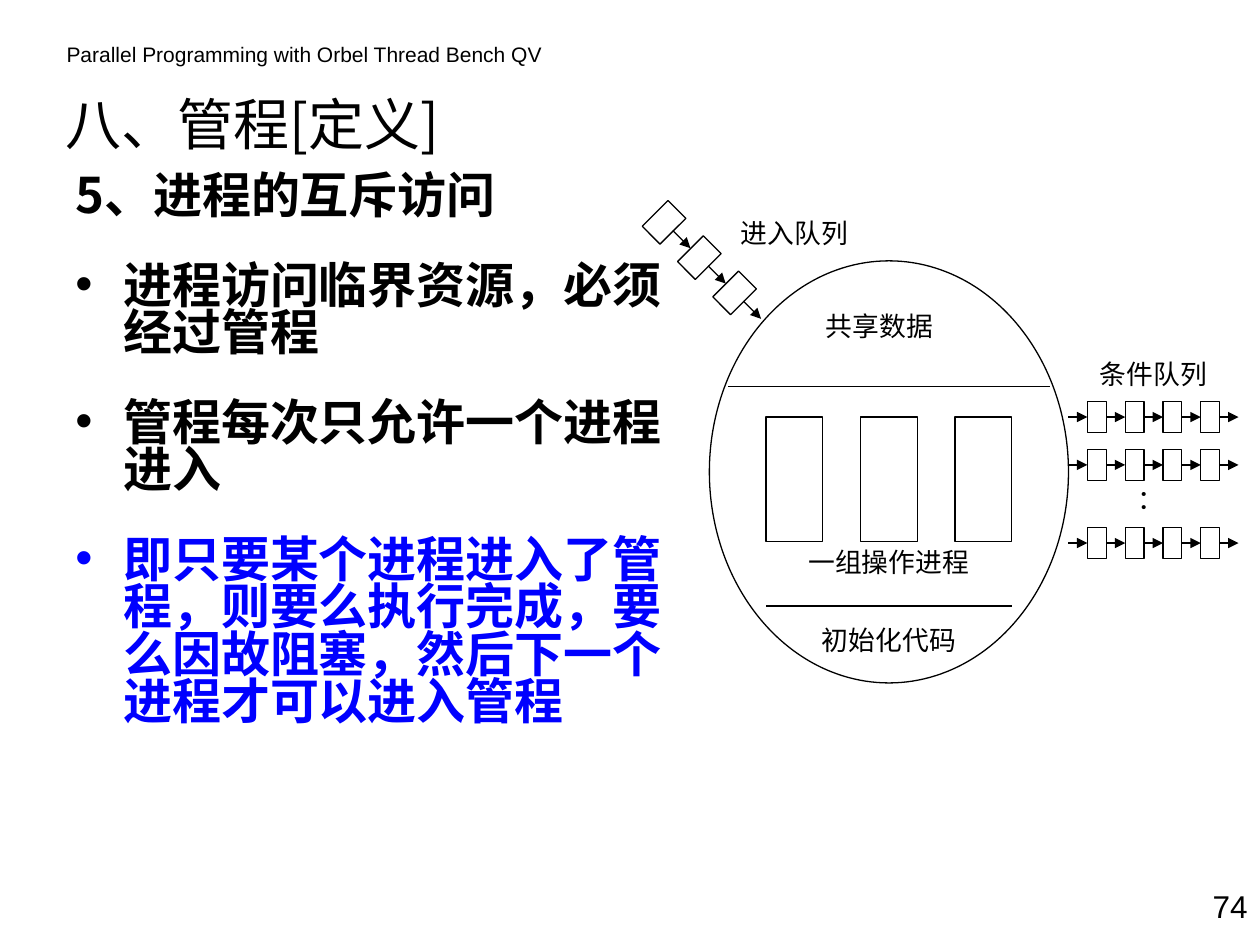
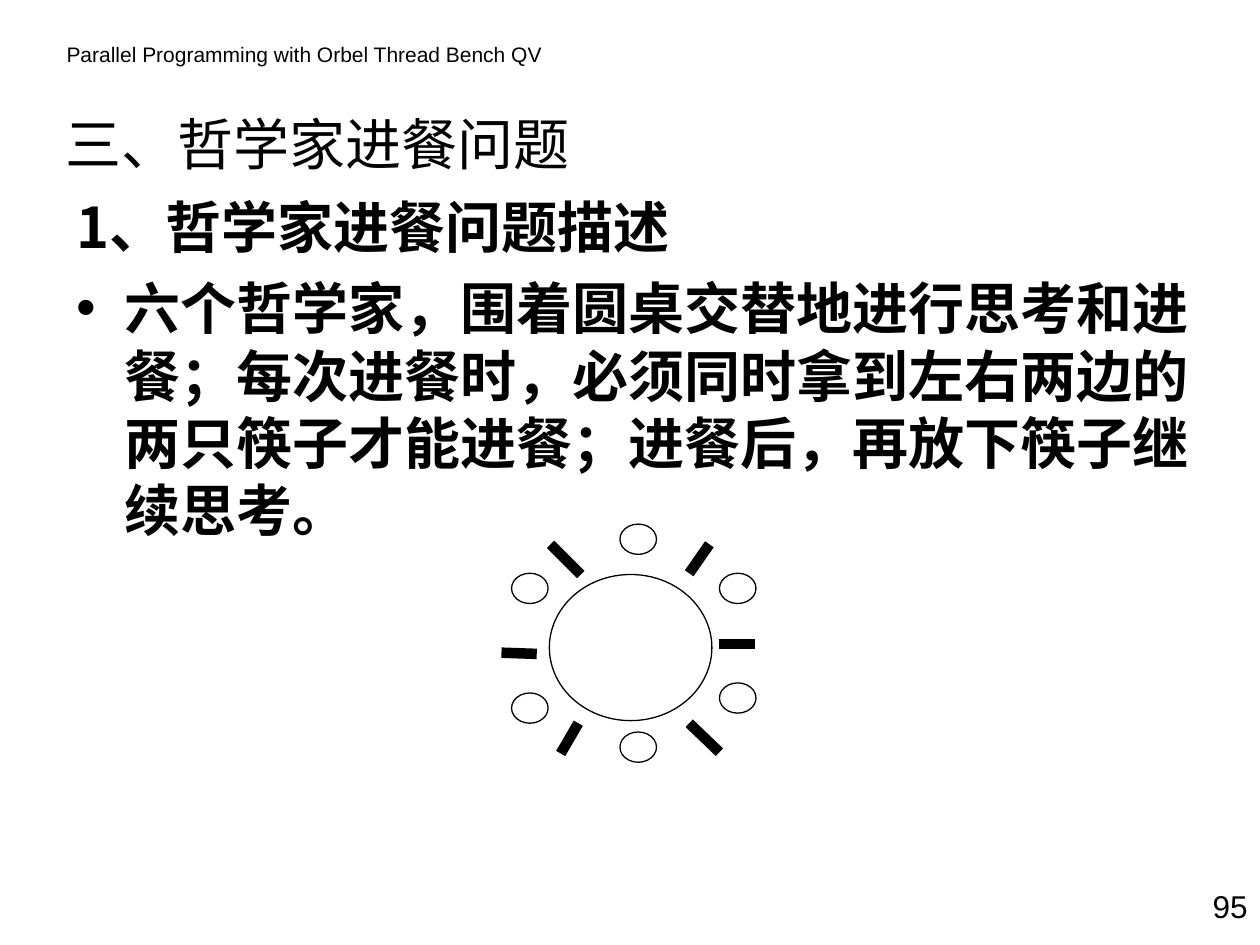
from pptx import Presentation
from pptx.dml.color import RGBColor
from pptx.enum.shapes import MSO_CONNECTOR, MSO_SHAPE
from pptx.enum.text import MSO_ANCHOR, PP_ALIGN
from pptx.oxml.ns import qn
from pptx.util import Inches, Pt
from lxml import etree

LEFT, CENTER, RIGHT, JUSTIFY = PP_ALIGN.LEFT, PP_ALIGN.CENTER, PP_ALIGN.RIGHT, PP_ALIGN.JUSTIFY
TOP, MIDDLE = MSO_ANCHOR.TOP, MSO_ANCHOR.MIDDLE
RECTANGLE, OVAL = MSO_SHAPE.RECTANGLE, MSO_SHAPE.OVAL
STRAIGHT = MSO_CONNECTOR.STRAIGHT
LEFT_SIDE, RIGHT_SIDE = 1, 3

COLORS = {"ink": "000000", "paper": "FFFFFF", "accent": "0000FF"}
HEADING_FONT = "Noto Sans CJK SC"
LABEL_FONT = "Times New Roman"
FOOTER_FONT = "Arial"
COURSE = "Parallel Programming with Orbel Thread Bench QV"
THIN, THICK = 0.75, 6


def color(name):
    return RGBColor.from_string(COLORS[name])


def style_paragraph(para, size, font, ink="ink", bold=False):
    for span in para.runs:
        span.font.size = Pt(size)
        span.font.name = font
        span.font.bold = bold
        span.font.color.rgb = color(ink)
        east_asian = etree.SubElement(span.font._element, qn("a:ea"))
        east_asian.set("typeface", HEADING_FONT)


def add_frame(page, bounds, anchor=TOP):
    box = page.shapes.add_textbox(*map(Inches, bounds))
    frame = box.text_frame
    frame.word_wrap = True
    frame.vertical_anchor = anchor
    return frame


def add_text(page, bounds, text, size, font, align=LEFT, anchor=TOP, spacing=None):
    frame = add_frame(page, bounds, anchor)
    frame.text = text
    para = frame.paragraphs[0]
    para.alignment = align
    para.line_spacing = spacing
    style_paragraph(para, size, font)


def add_label(page, bounds, text, align=CENTER):
    add_text(page, bounds, text, 15.3, LABEL_FONT, align, spacing=0.9)


def add_bullet(para, ink):
    properties = para._p.get_or_add_pPr()
    bullet_color = etree.SubElement(properties, qn("a:buClr"))
    etree.SubElement(bullet_color, qn("a:srgbClr")).set("val", COLORS[ink])
    etree.SubElement(properties, qn("a:buFont")).set("typeface", FOOTER_FONT)
    etree.SubElement(properties, qn("a:buChar")).set("char", "•")


def add_body(page, bounds, heading, points, size, before, spacing=None):
    frame = add_frame(page, bounds)
    for index, (text, ink) in enumerate([(heading, "ink")] + points):
        para = frame.add_paragraph() if index else frame.paragraphs[0]
        para.text = text
        para.space_before = Pt(before)
        para.line_spacing = spacing
        properties = para._p.get_or_add_pPr()
        properties.set("marL", str(Inches(0.38)))
        properties.set("indent", str(Inches(-0.38)))
        if index:
            add_bullet(para, ink)
        style_paragraph(para, size, HEADING_FONT, ink, bold=True)


def add_outline(page, kind, bounds, rotation=0):
    shape = page.shapes.add_shape(kind, *map(Inches, bounds))
    shape.shadow.inherit = False
    shape.fill.solid()
    shape.fill.fore_color.rgb = color("paper")
    shape.line.color.rgb = color("ink")
    shape.line.width = Pt(THIN)
    shape.rotation = rotation
    return shape


def add_line(page, start, end, width=THIN):
    line = page.shapes.add_connector(STRAIGHT, *map(Inches, start + end))
    line.line.color.rgb = color("ink")
    line.line.width = Pt(width)
    etree.SubElement(line._element.spPr, qn("a:effectLst"))
    return line


def add_arrow(page, start, end, source=None, target=None):
    arrow = add_line(page, start, end)
    etree.SubElement(arrow.line._get_or_add_ln(), qn("a:tailEnd")).set("type", "triangle")
    if source is not None:
        arrow.begin_connect(source, RIGHT_SIDE)
    if target is not None:
        arrow.end_connect(target, LEFT_SIDE)
    arrow.begin_x, arrow.begin_y = map(Inches, start)
    arrow.end_x, arrow.end_y = map(Inches, end)


def add_page(deck, title, title_bounds, number):
    page = deck.slides.add_slide(deck.slide_layouts[6])
    page.background.fill.solid()
    page.background.fill.fore_color.rgb = color("paper")
    add_text(page, (0.43, 0.28, 4.6, 0.3), COURSE, 12, FOOTER_FONT)
    add_text(page, title_bounds, title, 32, HEADING_FONT, anchor=MIDDLE)
    add_text(page, (8.86, 6.99, 1.14, 0.4), number, 18, FOOTER_FONT, RIGHT)
    return page


def add_entry_queue(page):
    step = 0.28
    boxes = [add_outline(page, RECTANGLE, (5.17 + i * step, 1.62 + i * step, 0.2, 0.29), 45)
             for i in range(3)]
    for i, (box, following) in enumerate(zip(boxes, boxes[1:] + [None])):
        x, y = 5.34 + i * step, 1.83 + i * step
        add_arrow(page, (x, y), (x + 0.14, y + 0.14), box, following)
    add_label(page, (5.33, 1.7, 1.5, 0.37), "进入队列", RIGHT)


def add_condition_queue(page, middle):
    width, height, left = 0.15, 0.25, 8.63
    boxes = [add_outline(page, RECTANGLE, (left + 2 * i * width, middle - height / 2, width, height))
             for i in range(4)]
    for i, (box, following) in enumerate(zip([None] + boxes, boxes + [None])):
        x = left + (2 * i - 1) * width
        add_arrow(page, (x, middle), (x + width, middle), box, following)


def add_monitor(page):
    add_outline(page, OVAL, (5.63, 2.07, 2.85, 3.35))
    add_line(page, (5.78, 3.07), (8.33, 3.07))
    add_line(page, (6.08, 4.81), (8.03, 4.81))
    for i in range(3):
        add_outline(page, RECTANGLE, (6.08 + 0.75 * i, 3.31, 0.45, 0.99))
    for top, text in ((2.44, "共享数据"), (4.31, "一组操作进程"), (4.93, "初始化代码")):
        left, width = (6.23, 1.5) if top < 3 else (6.08, 1.95)
        add_label(page, (left, top, width, 0.37), text)


def build_monitor_page(deck):
    page = add_page(deck, "八、管程[定义]", (0.42, 0.6, 5.67, 0.75), "74")
    add_body(page, (0.5, 1.35, 4.89, 4.75), "5、进程的互斥访问", [
        ("进程访问临界资源，必须经过管程", "ink"),
        ("管程每次只允许一个进程进入", "ink"),
        ("即只要某个进程进入了管程，则要么执行完成，要么因故阻塞，然后下一个进程才可以进入管程", "accent"),
    ], 28, 24.5, 0.8)
    add_entry_queue(page)
    add_monitor(page)
    for middle in (3.31, 3.69, 4.31):
        add_condition_queue(page, middle)
    add_label(page, (8.93, 3.81, 0.45, 0.37), "：", JUSTIFY)
    add_label(page, (8.48, 2.82, 1.35, 0.37), "条件队列")


def build_philosophers_page(deck):
    page = add_page(deck, "三、哲学家进餐问题", (0.42, 0.76, 7.1, 0.75), "95")
    add_body(page, (0.51, 1.48, 9.25, 4.42), "1、哲学家进餐问题描述", [
        ("六个哲学家，围着圆桌交替地进行思考和进餐；每次进餐时，必须同时拿到左右两边的"
         "两只筷子才能进餐；进餐后，再放下筷子继续思考。", "ink"),
    ], 32, 8)
    add_outline(page, OVAL, (4.36, 4.56, 1.29, 1.16))
    philosophers = [(4.92, 4.16), (5.71, 4.55), (5.71, 5.42),
                    (4.92, 5.81), (4.06, 5.5), (4.06, 4.55)]
    for left, top in philosophers:
        add_outline(page, OVAL, (left, top, 0.29, 0.24))
    chopsticks = [((4.37, 4.32), (4.61, 4.56)), ((5.47, 4.55), (5.63, 4.32)),
                  ((5.71, 5.11), (5.99, 5.11)), ((5.47, 5.74), (5.71, 5.97)),
                  ((4.59, 5.74), (4.45, 5.98)), ((3.98, 5.18), (4.26, 5.19))]
    for start, end in chopsticks:
        add_line(page, start, end, THICK)


def main():
    deck = Presentation()
    deck.slide_width, deck.slide_height = Inches(10), Inches(7.5)
    build_monitor_page(deck)
    build_philosophers_page(deck)
    deck.save("out.pptx")


if __name__ == "__main__":
    main()
